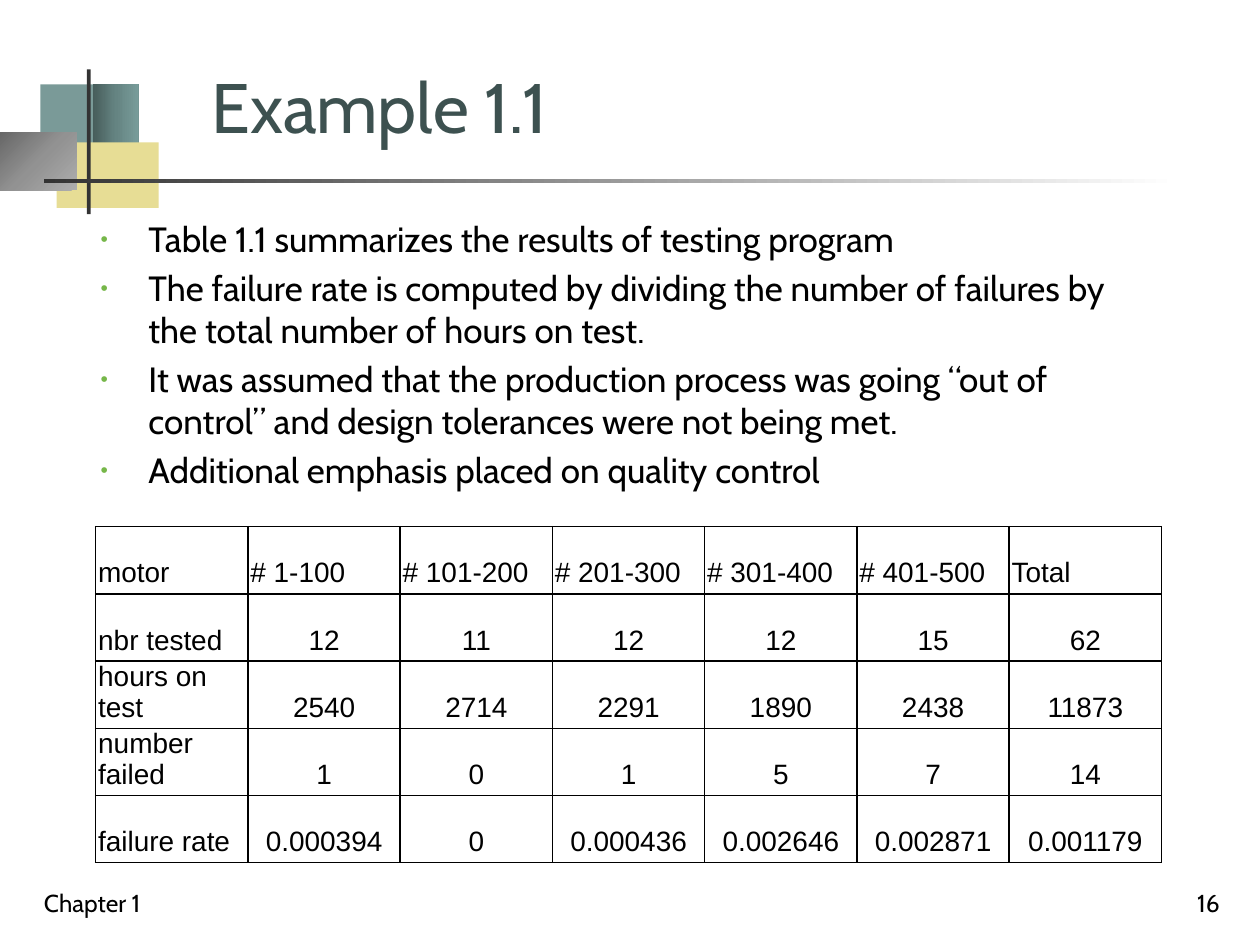
from dataclasses import dataclass

from lxml import etree
from pptx import Presentation
from pptx.dml.color import RGBColor
from pptx.enum import shapes, text
from pptx.oxml import ns
from pptx.util import Inches, Pt


@dataclass(frozen=True)
class Theme:
    """Colours, fonts and type sizes of the slide."""
    title: str = "3D5150"
    ink: str = "000000"
    bullet: str = "76B749"
    teal: str = "7A9A98"
    sand: str = "E7DD95"
    dark: str = "333333"
    teal_fade: tuple = ((0, "475D5B"), (50, "658482"), (100, "789C9A"))
    grey_fade: tuple = ((0, "676767"), (50, "929292"), (100, "ADADAD"))
    rule_fade: tuple = ((0, "333333"), (100, "FFFFFF"))
    font: str = "Cabin"
    table_font: str = "Arial"
    title_size: int = 40
    body_size: int = 20
    table_size: int = 16
    footer_size: int = 14


THEME = Theme()
BULLETS = (
    "Table 1.1 summarizes the results of testing program",
    "The failure rate is computed by dividing the number of failures by the total number of hours on test.",
    "It was assumed that the production process was going “out of control” and design tolerances were not being met.",
    "Additional emphasis placed on quality control",
)
MOTOR_ROWS = (
    ("motor", "# 1-100", "# 101-200", "# 201-300", "# 301-400", "# 401-500", "Total"),
    ("nbr tested", "12", "11", "12", "12", "15", "62"),
    ("hours on test", "2540", "2714", "2291", "1890", "2438", "11873"),
    ("number failed", "1", "0", "1", "5", "7", "14"),
    ("failure rate", "0.000394", "0", "0.000436", "0.002646", "0.002871", "0.001179"),
)
TWO_LINE_LABELS = ("hours on test", "number failed")


def sub(parent, tag, **attrs):
    """Append a DrawingML child element."""
    return etree.SubElement(parent, ns.qn(f"a:{tag}"), attrs)


def add_run(p, words, size, color=THEME.ink, font=THEME.font):
    """Add one styled run to a paragraph."""
    r = p.add_run()
    r.text = words
    r.font.size = Pt(size)
    r.font.name = font
    r.font.color.rgb = RGBColor.from_string(color)


def add_text_frame(s, box, anchor):
    """Add a wrapping text box and return its frame."""
    tf = s.shapes.add_textbox(*map(Inches, box)).text_frame
    tf.word_wrap = True
    tf.vertical_anchor = anchor
    return tf


def add_block(s, box, fill, radial=False):
    """Add a borderless rectangle with a plain colour or gradient stops."""
    sp = s.shapes.add_shape(shapes.MSO_SHAPE.RECTANGLE, *map(Inches, box))
    sp.shadow.inherit = False
    sp.line.fill.background()
    if isinstance(fill, str):
        sp.fill.solid()
        sp.fill.fore_color.rgb = RGBColor.from_string(fill)
        return
    sp.fill.gradient()
    grad = sp._element.spPr.find(ns.qn("a:gradFill"))
    for child in list(grad):
        grad.remove(child)
    stops = sub(grad, "gsLst")
    for position, color in fill:
        sub(sub(stops, "gs", pos=str(position * 1000)), "srgbClr", val=color)
    if radial:
        sub(sub(grad, "path", path="circle"), "fillToRect", l="0", t="0", r="100000", b="100000")
    else:
        sub(grad, "lin", ang="0", scaled="1")


def add_ornament(s, box):
    """Place the overlapping blocks and the crossing rules."""
    left, top, width, height = box
    blocks = (
        (0.32, 0.12, 0.48, 0.52, THEME.teal),
        (0.74, 0.12, 0.36, 0.52, THEME.teal_fade),
        (0.45, 0.58, 0.81, 0.52, THEME.sand),
        (0, 0.5, 0.61, 0.46, THEME.grey_fade),
        (0.69, 0, 0.03, height, THEME.dark),
        (0.35, 0.87, width - 0.35, 0.03, THEME.rule_fade),
    )
    for x, y, w, h, fill in blocks:
        add_block(s, (left + x, top + y, w, h), fill, radial=fill == THEME.grey_fade)


def add_title(s, box):
    """Place the slide title."""
    tf = add_text_frame(s, box, text.MSO_ANCHOR.BOTTOM)
    add_run(tf.paragraphs[0], "Example 1.1", THEME.title_size, THEME.title)


def add_bullets(s, box):
    """Place the bulleted body text."""
    tf = add_text_frame(s, box, text.MSO_ANCHOR.TOP)
    for i, words in enumerate(BULLETS):
        p = tf.add_paragraph() if i else tf.paragraphs[0]
        p.space_before = Pt(THEME.body_size * 0.2)
        pPr = p._p.get_or_add_pPr()
        pPr.set("marL", str(Inches(0.38)))
        pPr.set("indent", str(-Inches(0.38)))
        sub(sub(pPr, "buClr"), "srgbClr", val=THEME.bullet)
        sub(pPr, "buSzPct", val="60000")
        sub(pPr, "buFont", typeface=THEME.table_font)
        sub(pPr, "buChar", char="•")
        add_run(p, words, THEME.body_size)


def style_cell(cell):
    """Give a cell tight margins, black borders and no fill."""
    cell.margin_left = cell.margin_right = Inches(0.02)
    cell.margin_top = cell.margin_bottom = 0
    tcPr = cell._tc.get_or_add_tcPr()
    for side in ("lnL", "lnR", "lnT", "lnB"):
        ln = sub(tcPr, side, w=str(Pt(1)))
        sub(sub(ln, "solidFill"), "srgbClr", val=THEME.ink)
    cell.fill.background()


def add_motor_table(s, box):
    """Place the table of motor test results."""
    n_rows, n_cols = len(MOTOR_ROWS), len(MOTOR_ROWS[0])
    table = s.shapes.add_table(n_rows, n_cols, *map(Inches, box)).table
    table.first_row = table.horz_banding = False
    for i, row in enumerate(MOTOR_ROWS):
        for j, words in enumerate(row):
            cell = table.cell(i, j)
            style_cell(cell)
            p = cell.text_frame.paragraphs[0]
            if i and j:
                p.alignment = text.PP_ALIGN.CENTER
            if words not in TWO_LINE_LABELS:
                p.line_spacing = 2.0
            add_run(p, words, THEME.table_size, font=THEME.table_font)


def add_footer(s, box):
    """Place the chapter name at the left and the page number at the right."""
    left, top, width, height = box
    part = 2.08
    for x, words, align in (
        (left, "Chapter 1", text.PP_ALIGN.LEFT),
        (left + width - part, "16", text.PP_ALIGN.RIGHT),
    ):
        tf = add_text_frame(s, (x, top, part, height), text.MSO_ANCHOR.BOTTOM)
        tf.paragraphs[0].alignment = align
        add_run(tf.paragraphs[0], words, THEME.footer_size)


def main():
    """Build the slide and save it."""
    prs = Presentation()
    prs.slide_width, prs.slide_height = Inches(10), Inches(7.5)
    s = prs.slides.add_slide(prs.slide_layouts[6])
    add_ornament(s, (0, 0.55, 9.35, 1.15))
    add_title(s, (1.58, 0.25, 7.77, 0.97))
    add_bullets(s, (0.7, 1.68, 8.5, 2.29))
    add_footer(s, (0.25, 6.83, 9.53, 0.5))
    add_motor_table(s, (0.76, 4.18, 8.46, 2.47))
    prs.save("out.pptx")


if __name__ == "__main__":
    main()
